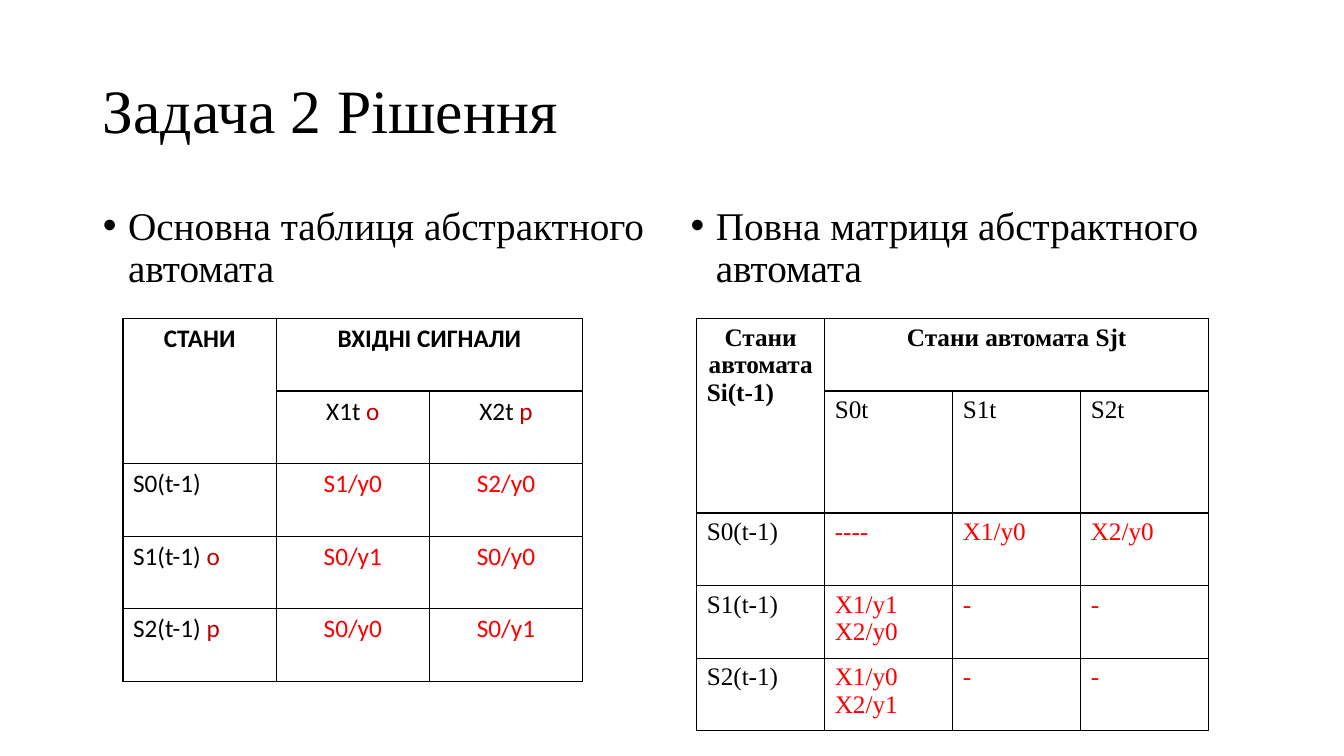
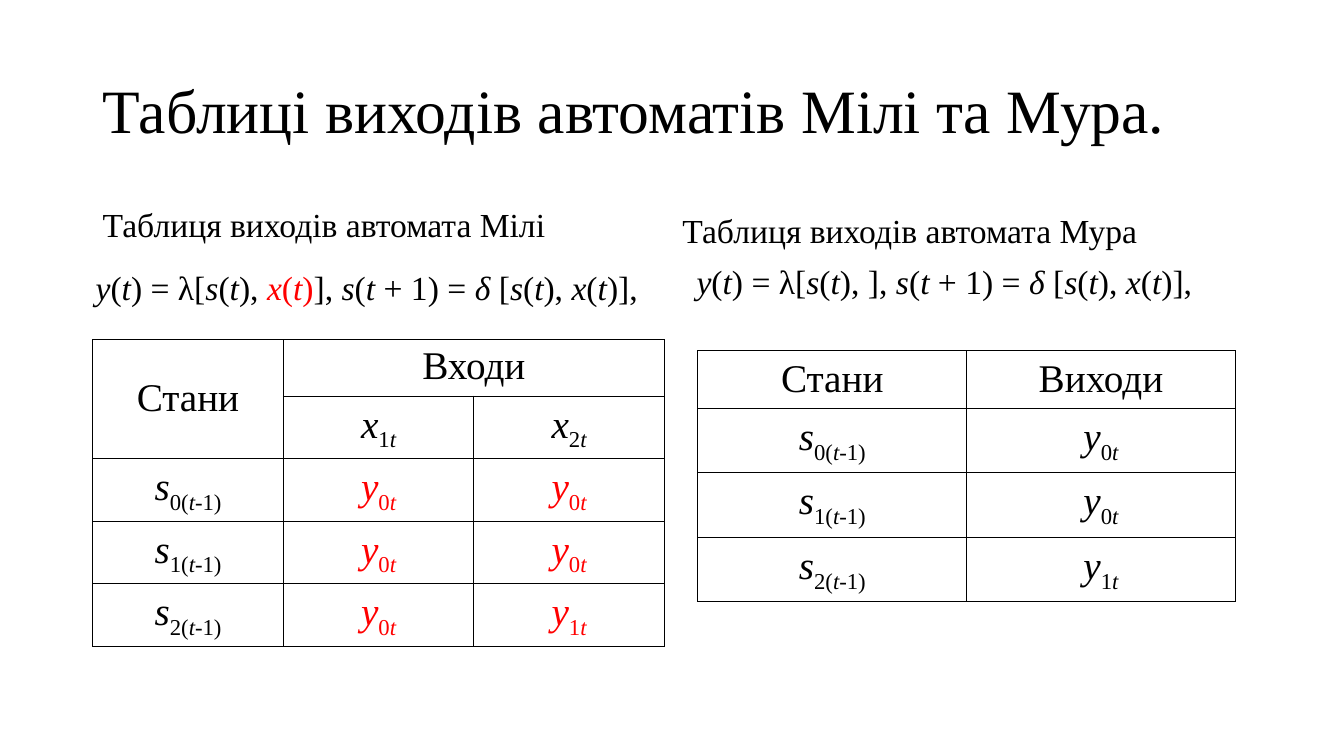
import itertools
from dataclasses import dataclass, field

import lxml.etree
import pptx
import pptx.dml.color
import pptx.enum.text
import pptx.oxml.ns
import pptx.util

PX = 9144  # 100 px to the inch
ALIGN = pptx.enum.text.PP_ALIGN
ANCHOR = pptx.enum.text.MSO_ANCHOR
FIT = pptx.enum.text.MSO_AUTO_SIZE


@dataclass(frozen=True)
class Theme:
    serif: str = "Times New Roman"
    sans: str = "Calibri"
    ink: str = "000000"
    red: str = "FF0000"
    dark_red: str = "C00000"
    title: int = 44
    body: int = 28
    formula: int = 24
    cell: int = 18


THEME = Theme()


@dataclass(frozen=True)
class Span:
    text: str
    color: str = THEME.ink
    bold: bool = False
    italic: bool = False
    lowered: bool = False


@dataclass(frozen=True)
class Line:
    spans: list
    align: ALIGN = ALIGN.LEFT


@dataclass(frozen=True)
class TableStyle:
    size: int
    font: str = THEME.serif
    border: float = 1
    inset_x: int = 10
    inset_y: int = 5
    spacing: float = 1.0
    anchors: dict = field(default_factory=dict)


def px(length):
    return pptx.util.Emu(length * PX)


# Text content
def left(text, color=THEME.ink, bold=False):
    return Line([Span(text, color, bold)])


def center(text, color=THEME.ink, bold=False):
    return Line([Span(text, color, bold)], ALIGN.CENTER)


def math_spans(text, color=THEME.ink, lowered=False):
    """Variables are italic; digits, signs and λ are upright."""
    groups = itertools.groupby(text, lambda sign: sign.isalpha() and sign != "λ")
    return [Span("".join(signs), color, False, italic, lowered)
            for italic, signs in groups]


def symbol(name, index, color=THEME.ink):
    return [Line(math_spans(name, color) + math_spans(index, color, True), ALIGN.CENTER)]


def state(number):
    return symbol("s", f"{number}(t-1)")


# Text formatting
def style_run(run, size, font, span):
    run.font.size = pptx.util.Pt(size)
    run.font.name = font
    run.font.bold = span.bold
    run.font.italic = span.italic
    run.font.color.rgb = pptx.dml.color.RGBColor.from_string(span.color)
    if span.lowered:
        run._r.get_or_add_rPr().set("baseline", "-25000")


def write_lines(frame, lines, size, font=THEME.serif, spacing=1.0):
    for number, line in enumerate(lines):
        para = frame.paragraphs[0] if number == 0 else frame.add_paragraph()
        para.alignment = line.align
        para.line_spacing = spacing
        for span in line.spans:
            run = para.add_run()
            run.text = span.text
            style_run(run, size, font, span)


# Page elements
def place(shape, x, y, width, height):
    shape.left, shape.top = px(x), px(y)
    shape.width, shape.height = px(width), px(height)


def fill_placeholder(shape, text, size, bounds):
    place(shape, *bounds)
    frame = shape.text_frame
    frame.auto_size = FIT.NONE
    frame.text = text
    para = frame.paragraphs[0]
    para.alignment = ALIGN.LEFT
    para.line_spacing = 0.9
    style_run(para.runs[0], size, THEME.serif, Span(text))
    return para


def add_page(deck, layout, title):
    page = deck.slides.add_slide(deck.slide_layouts.get_by_name(layout))
    fill_placeholder(page.shapes.title, title, THEME.title, (92, 40, 1150, 145))
    page.shapes.title.text_frame.vertical_anchor = ANCHOR.MIDDLE
    return page


def fill_bullet(shape, text, x):
    para = fill_placeholder(shape, text, THEME.body, (x, 200, 567, 476))
    para.space_before = pptx.util.Pt(10)
    properties = para._p.get_or_add_pPr()
    properties.set("marL", str(px(25)))
    properties.set("indent", str(px(-25)))


def add_label(page, spans, x, y, width):
    box = page.shapes.add_textbox(px(x), px(y), px(width), px(50))
    box.text_frame.word_wrap = False
    box.text_frame.auto_size = FIT.SHAPE_TO_FIT_TEXT
    write_lines(box.text_frame, [Line(spans)], THEME.formula)


def draw_borders(cell, width):
    properties = cell._tc.get_or_add_tcPr()
    for position, side in enumerate(("lnL", "lnR", "lnT", "lnB")):
        border = lxml.etree.Element(pptx.oxml.ns.qn(f"a:{side}"),
                                    w=str(int(pptx.util.Pt(width))))
        fill = lxml.etree.SubElement(border, pptx.oxml.ns.qn("a:solidFill"))
        lxml.etree.SubElement(fill, pptx.oxml.ns.qn("a:srgbClr"), val=THEME.ink)
        properties.insert(position, border)


def add_table(page, x, y, widths, heights, rows, style, merges=()):
    """Each cell is a list of lines, or None where a merged cell covers it."""
    frame = page.shapes.add_table(len(heights), len(widths), px(x), px(y),
                                  px(sum(widths)), px(sum(heights)))
    table = frame.table
    table.first_row = table.horz_banding = False
    for column, width in zip(table.columns, widths):
        column.width = px(width)
    for row, height in zip(table.rows, heights):
        row.height = px(height)
    for r, c in itertools.product(range(len(heights)), range(len(widths))):
        cell = table.cell(r, c)
        cell.margin_left = cell.margin_right = px(style.inset_x)
        cell.margin_top = cell.margin_bottom = px(style.inset_y)
        cell.vertical_anchor = style.anchors.get((r, c), ANCHOR.TOP)
        cell.fill.background()
        draw_borders(cell, style.border)
        if rows[r][c]:
            write_lines(cell.text_frame, rows[r][c], style.size, style.font, style.spacing)
    for first, last in merges:
        table.cell(*first).merge(table.cell(*last))


# Slides
def build_solution(deck):
    page = add_page(deck, "Two Content", "Задача 2 Рішення")
    bullets = ("Основна таблиця абстрактного автомата",
               "Повна матриця абстрактного автомата")
    for number, (text, x) in enumerate(zip(bullets, (92, 675)), start=1):
        fill_bullet(page.placeholders[number], text, x)

    def marked(text, mark, align):
        return [Line([Span(text), Span(mark, THEME.dark_red)], align)]

    def results(*texts):
        return [[center(text, THEME.red)] for text in texts]

    main_rows = [
        [[center("СТАНИ", bold=True)], [center("ВХІДНІ СИГНАЛИ", bold=True)], None],
        [None, marked("Х1t ", "o", ALIGN.CENTER), marked("X2t ", "p", ALIGN.CENTER)],
        [[left("S0(t-1)")], *results("S1/y0", "S2/y0")],
        [marked("S1(t-1) ", "o", ALIGN.LEFT), *results("S0/y1", "S0/y0")],
        [marked("S2(t-1) ", "p", ALIGN.LEFT), *results("S0/y0", "S0/y1")],
    ]
    add_table(page, 122, 316, [152] * 3, [72] * 5, main_rows,
              TableStyle(THEME.cell, THEME.sans),
              [((0, 0), (1, 0)), ((0, 1), (0, 2))])

    def transitions(name, *cells):
        return [[left(name)]] + [[left(text, THEME.red) for text in cell] for cell in cells]

    matrix_rows = [
        [[center("Стани автомата", bold=True), left("Si(t-1)", bold=True)],
         [center("Стани автомата Sjt", bold=True)], None, None],
        [None] + [[left(f"S{number}t")] for number in range(3)],
        transitions("S0(t-1)", ["----"], ["X1/y0"], ["X2/y0"]),
        transitions("S1(t-1)", ["X1/y1", "X2/y0"], ["-"], ["-"]),
        transitions("S2(t-1)", ["X1/y0", "X2/y1"], ["-"], ["-"]),
    ]
    add_table(page, 691, 316, [127] * 4, [72, 121, 72, 72, 72], matrix_rows,
              TableStyle(THEME.cell), [((0, 0), (1, 0)), ((0, 1), (0, 3))])


def build_outputs(deck):
    page = add_page(deck, "Title Only", "Таблиці виходів автоматів Мілі та Мура.")

    # Mealy table
    mealy_rows = [
        [[center("Стани")], [center("Входи")], None],
        [None, symbol("x", "1t"), symbol("x", "2t")],
    ]
    for number, outputs in enumerate((("0t", "0t"), ("0t", "0t"), ("0t", "1t"))):
        mealy_rows.append([state(number)]
                          + [symbol("y", index, THEME.red) for index in outputs])
    add_table(page, 92, 337, [189] * 3, [56, 62, 62, 62, 62], mealy_rows,
              TableStyle(THEME.body, border=0.75, inset_x=7, inset_y=7, spacing=0.95,
                         anchors={(0, 0): ANCHOR.MIDDLE}),
              [((0, 0), (1, 0)), ((0, 1), (0, 2))])

    # Moore table
    moore_rows = [[[center("Стани")], [center("Виходи")]]]
    for number, index in enumerate(("0t", "0t", "1t")):
        moore_rows.append([state(number), symbol("y", index)])
    add_table(page, 692, 348, [267, 266], [57, 64, 64, 64], moore_rows,
              TableStyle(THEME.body, border=0.75, inset_x=7, inset_y=7))

    # Headings and formulas
    transition = "], s(t + 1) = δ [s(t), x(t)],"
    output = "y(t) = λ[s(t), "
    add_label(page, [Span("Таблиця виходів автомата Мура")], 667, 203, 476)
    add_label(page, [Span("Таблиця виходів автомата Мілі")], 92, 197, 464)
    add_label(page, math_spans(output) + math_spans("x(t)", THEME.red)
              + math_spans(transition), 85, 260, 573)
    add_label(page, math_spans(output + transition), 681, 254, 542)


def main():
    deck = pptx.Presentation()
    deck.slide_width, deck.slide_height = px(1333), px(750)
    build_solution(deck)
    build_outputs(deck)
    deck.save("out.pptx")


if __name__ == "__main__":
    main()
